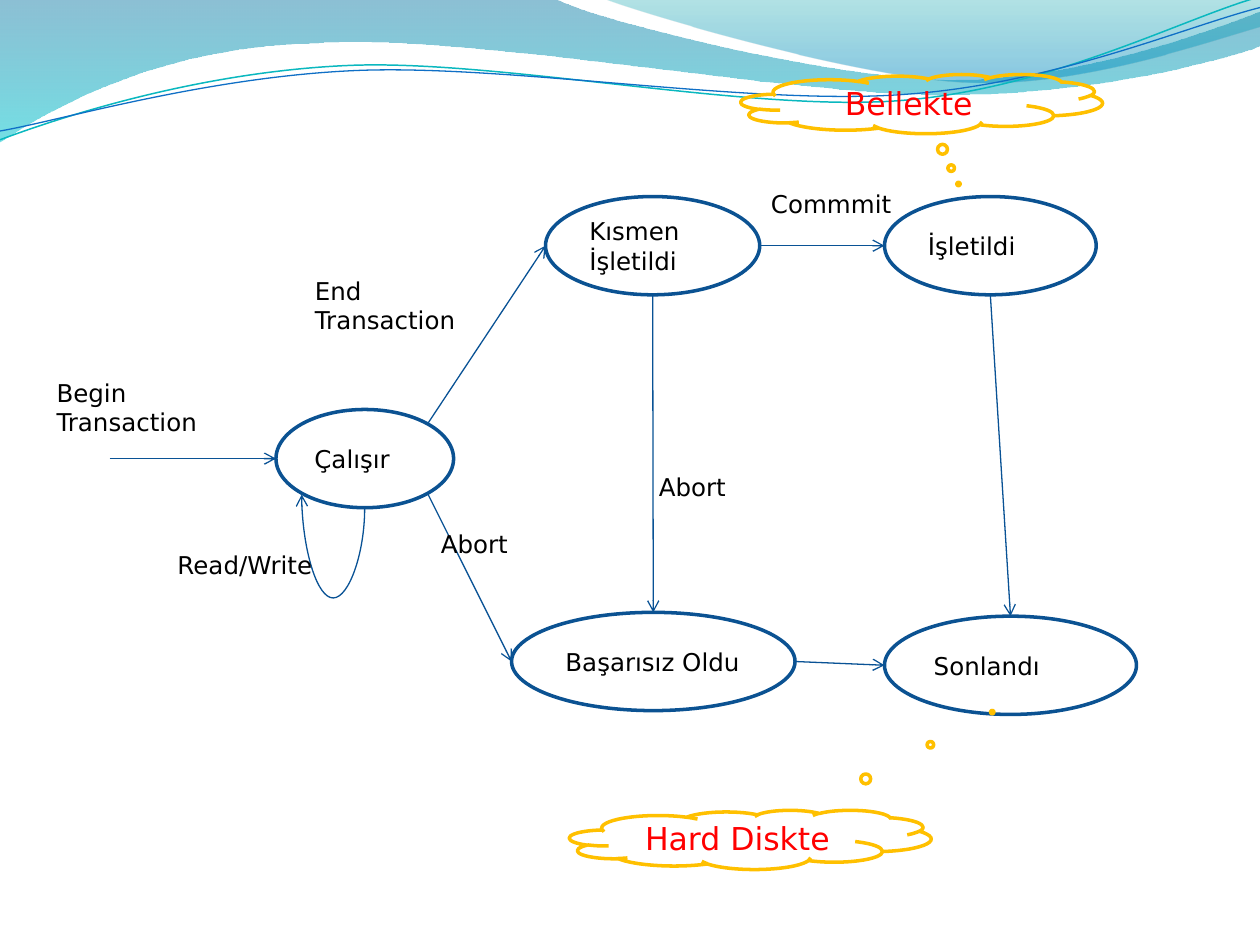
from dataclasses import dataclass
from math import cos, radians, sin

from lxml import etree
from pptx import Presentation
from pptx import util as u
from pptx.dml.color import RGBColor
from pptx.enum import shapes, text
from pptx.oxml.ns import qn


@dataclass(frozen=True)
class Theme:
    """Colours, type sizes and line widths of the slide."""
    font: str = "DejaVu Sans"
    ink: str = "000000"
    accent: str = "FF0000"
    state: str = "0B5292"
    arrow: str = "095295"
    cloud: str = "FFC000"
    waves: tuple = (("0AB8BF", 0.85), ("0F6FC6", 0.75))
    band: tuple = ((0, "0074A1", 45), (1, "00C6CF", 55))
    swoosh: tuple = ((0, "00A1A9", 30), (0.8, "008BBF", 45))
    label_size: int = 14
    cloud_size: int = 18
    thick: float = 2
    thin: float = 0.75


T = Theme()
ALIGN = text.PP_ALIGN
RIGHT, BOTTOM, LEFT, TOP, LOWER_RIGHT, UPPER_RIGHT = 0, 90, 180, 270, 45, 315

# Each segment after the start point is a line (1 point) or a curve (3 points).
BAND = [
    [(0, 0)], [(4.4, -0.01)],
    [(4.76, 0.17), (6.64, 0.63), (7.58, 0.63)],
    [(8.53, 0.63), (9.58, 0.26), (10, 0.09)], [(10.01, 0.36)],
    [(9.83, 0.44), (8.7, 0.76), (7.46, 0.75)],
    [(6.22, 0.75), (3.82, 0.28), (2.57, 0.34)],
    [(1.29, 0.36), (0.46, 0.83), (-0.01, 1.13)],
]
SWOOSH = [
    [(4.79, -0.01)],
    [(5.09, 0.11), (6.82, 0.62), (7.69, 0.65)],
    [(8.56, 0.69), (9.61, 0.32), (10, 0.21)], [(10, 0)],
]
WAVES = [
    [[(0, 1.11)],
     [(0.48, 0.93), (1.58, 0.57), (2.77, 0.52)],
     [(3.95, 0.47), (5.93, 0.89), (7.13, 0.8)],
     [(8.33, 0.71), (9.38, 0.15), (9.98, -0.02)]],
    [[(0, 1.04)],
     [(0.47, 0.96), (1.64, 0.61), (2.83, 0.56)],
     [(4.03, 0.51), (5.97, 0.84), (7.17, 0.75)],
     [(8.36, 0.67), (9.41, 0.21), (10, 0.06)]],
]
STATES = {
    "Çalışır": (2.19, 3.25, 1.41),
    "Başarısız Oldu": (4.06, 4.86, 2.25),
    "Sonlandı": (7.02, 4.89, 2),
    "İşletildi": (7.02, 1.56, 1.68),
    "Kısmen İşletildi": (4.33, 1.56, 1.7),
}
STATE_HEIGHT = 0.78
TRANSITIONS = [
    ("Çalışır", UPPER_RIGHT, "Kısmen İşletildi", LEFT),
    ("Kısmen İşletildi", RIGHT, "İşletildi", LEFT),
    ("Çalışır", LOWER_RIGHT, "Başarısız Oldu", LEFT),
    ("Kısmen İşletildi", BOTTOM, "Başarısız Oldu", TOP),
    ("İşletildi", BOTTOM, "Sonlandı", TOP),
    ("Başarısız Oldu", RIGHT, "Sonlandı", LEFT),
]
LABELS = [
    ("Begin\nTransaction", 0.35, 2.95, 1.49, 0.57),
    ("End\nTransaction", 2.4, 2.14, 1.69, 0.57),
    ("Abort", 3.4, 4.15, 1.21, 0.34),
    ("Read/Write", 1.31, 4.32, 1.35, 0.34),
    ("Commmit", 6.02, 1.45, 1.21, 0.34),
    ("Abort", 5.13, 3.7, 1.21, 0.34),
]
CLOUDS = [
    ("Bellekte", 5.88, 0.59, (0.102, 1.352)),
    ("Hard Diskte", 4.52, 6.43, (0.669, -2.155)),
]


def inches(*values):
    """Turn numbers into lengths."""
    return [u.Inches(v) for v in values]


def set_line(sp, color, width):
    """Give an outline or connector its colour and width."""
    sp.line.color.rgb = RGBColor.from_string(color)
    sp.line.width = u.Pt(width)


def write(sp, content, *, size=T.label_size, color=T.ink, align=ALIGN.LEFT,
          anchor=text.MSO_ANCHOR.MIDDLE):
    """Fill a shape with text, one paragraph per line."""
    tf = sp.text_frame
    tf.word_wrap = True
    tf.vertical_anchor = anchor
    for i, line in enumerate(content.split("\n")):
        p = tf.add_paragraph() if i else tf.paragraphs[0]
        p.alignment = align
        r = p.add_run()
        r.text = line
        r.font.name, r.font.size = T.font, u.Pt(size)
        r.font.color.rgb = RGBColor.from_string(color)


def add_curve(s, segments, closed=False):
    """Draw a freeform whose three-point segments are Bezier curves."""
    points = [pt for seg in segments for pt in seg]
    builder = s.shapes.build_freeform(*points[0], scale=u.Inches(1) / 1.0)
    # Work in thousandths of an inch so that the outline keeps its precision.
    builder = s.shapes.build_freeform(
        *[round(v * 1000) for v in points[0]], scale=u.Inches(1) / 1000)
    builder.add_line_segments(
        [(round(x * 1000), round(y * 1000)) for x, y in points[1:]], close=closed)
    sp = builder.convert_to_shape()
    sp.shadow.inherit = False
    lines = iter(sp._element.xpath(".//a:lnTo"))
    for seg in segments[1:]:
        first, *rest = [next(lines) for _ in seg]
        if rest:
            curve = etree.Element(qn("a:cubicBezTo"))
            first.addprevious(curve)
            for node in (first, *rest):
                curve.append(node[0])
                node.getparent().remove(node)
    return sp


def add_band(s, segments, stops):
    """Draw a closed band with a translucent vertical gradient."""
    sp = add_curve(s, segments, closed=True)
    sp.line.fill.background()
    sp.fill.gradient()
    sp.fill.gradient_angle = 270
    for stop, (position, color, opacity) in zip(sp.fill.gradient_stops, stops):
        stop.position = position
        stop.color.rgb = RGBColor.from_string(color)
    for clr, (_, _, opacity) in zip(sp._element.xpath(".//a:gs/a:srgbClr"), stops):
        etree.SubElement(clr, qn("a:alpha"), val=str(opacity * 1000))


def add_outline(s, kind, box, color):
    """Draw an unfilled preset shape."""
    sp = s.shapes.add_shape(kind, *inches(*box))
    sp.shadow.inherit = False
    sp.fill.background()
    set_line(sp, color, T.thick)
    return sp


def site(name, angle):
    """Return the point on a state's ellipse at a clockwise angle."""
    x, y, w = STATES[name]
    rx, ry, a = w / 2, STATE_HEIGHT / 2, radians(angle)
    return x + rx + rx * cos(a), y + ry + ry * sin(a)


def add_arrow(s, start, end, kind=shapes.MSO_CONNECTOR.STRAIGHT):
    """Draw a connector with an open arrowhead at its end."""
    cxn = s.shapes.add_connector(kind, *inches(*start, *end))
    set_line(cxn, T.arrow, T.thin)
    etree.SubElement(cxn.line._get_or_add_ln(), qn("a:tailEnd"), type="arrow")
    etree.SubElement(cxn._element.spPr, qn("a:effectLst"))
    return cxn


def add_loop(s):
    """Draw the curved arrow from the running state back to itself."""
    cxn = add_arrow(s, (2.7, 3.73), (2.59, 4.23), shapes.MSO_CONNECTOR.CURVE)
    sp_pr = cxn._element.spPr
    sp_pr.find(qn("a:xfrm")).set("rot", str(90 * 60000))
    guides = sp_pr.find(qn("a:prstGeom")).get_or_add_avLst()
    etree.SubElement(guides, qn("a:gd"), name="adj1", fmla="val -647300")


def main():
    """Build the transaction state diagram."""
    prs = Presentation()
    prs.slide_width, prs.slide_height = inches(10, 7.5)
    s = prs.slides.add_slide(prs.slide_layouts[6])
    add_band(s, BAND, T.band)
    add_band(s, SWOOSH, T.swoosh)
    for wave, style in zip(WAVES, T.waves):
        sp = add_curve(s, wave)
        sp.fill.background()
        set_line(sp, *style)
    for name, box in STATES.items():
        sp = add_outline(s, shapes.MSO_SHAPE.OVAL, (*box, STATE_HEIGHT), T.state)
        write(sp, name, align=ALIGN.JUSTIFY)
    add_arrow(s, (0.87, 3.64), site("Çalışır", LEFT))
    for source, out, target, into in TRANSITIONS:
        add_arrow(s, site(source, out), site(target, into))
    add_loop(s)
    for content, *box in LABELS:
        write(s.shapes.add_textbox(*inches(*box)), content, anchor=text.MSO_ANCHOR.TOP)
    for content, x, y, pointer in CLOUDS:
        sp = add_outline(s, shapes.MSO_SHAPE.CLOUD_CALLOUT, (x, y, 2.87, 0.47), T.cloud)
        sp.adjustments[0], sp.adjustments[1] = pointer
        write(sp, content, size=T.cloud_size, color=T.accent, align=ALIGN.CENTER)
    prs.save("out.pptx")


main()
